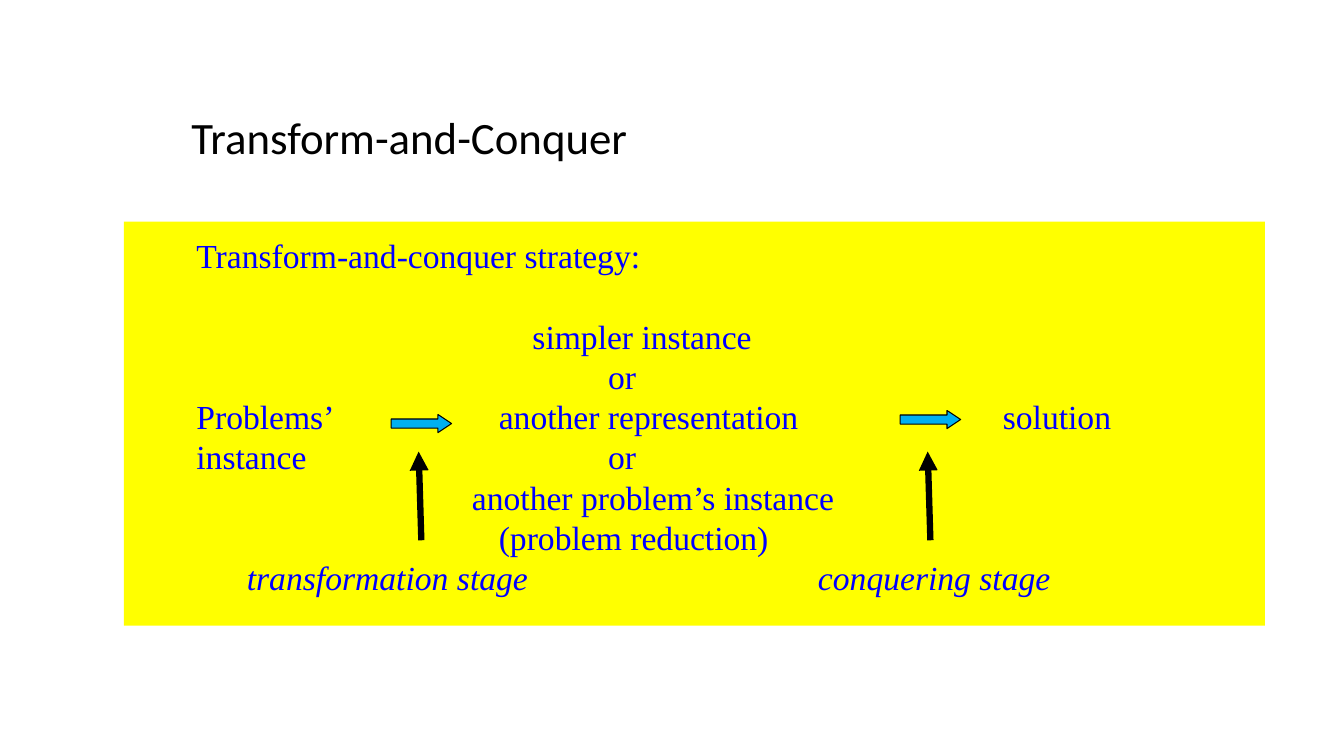
"""Build the Transform-and-Conquer strategy slide."""
from lxml import etree
from pptx import Presentation
from pptx.dml.color import RGBColor
from pptx.enum.shapes import MSO_CONNECTOR, MSO_SHAPE
from pptx.oxml.ns import qn
from pptx.util import Inches, Pt

RECT, RIGHT_ARROW = MSO_SHAPE.RECTANGLE, MSO_SHAPE.RIGHT_ARROW
STRAIGHT = MSO_CONNECTOR.STRAIGHT
WIDTH, HEIGHT = Inches(13.33), Inches(7.5)
COL, ROW = WIDTH / 40, Inches(0.4)
LINE_PITCH = Pt(28.8)
COLORS = {"panel": "FFFF00", "body": "0000FF", "step": "00B0F0", "ink": "000000"}

STRATEGY = [
    [(0, "Transform-and-conquer strategy:")],
    [(10, "simpler instance")],
    [(12.25, "or")],
    [(0, "Problems’"), (9, "another representation"), (24, "solution")],
    [(0, "instance"), (12.25, "or")],
    [(8.2, "another problem’s instance")],
    [(9, "(problem reduction)")],
    [(1.5, "transformation stage"), (18.5, "conquering stage")],
]
FIRST_STEP, STAGES = 1, len(STRATEGY) - 1


def color(name):
    """Return a named palette colour."""
    return RGBColor.from_string(COLORS[name])


def cell(col, row):
    """Convert grid columns and rows to slide lengths."""
    return round(col * COL), round(row * ROW)


def add_block(s, kind, at, size, fill):
    """Add a filled preset shape without an outline."""
    sp = s.shapes.add_shape(kind, *cell(*at), *cell(*size))
    sp.shadow.inherit = False
    sp.fill.solid()
    sp.fill.fore_color.rgb = color(fill)
    sp.line.fill.background()
    return sp


def add_step(s, at):
    """Add a block arrow leading to the next state."""
    sp = add_block(s, RIGHT_ARROW, at, (1.8, 0.45), "step")
    sp.adjustments[0], sp.adjustments[1] = 0.5, 0.75
    sp.line.color.rgb = color("ink")
    sp.line.width = Pt(0.75)


def add_pointer(s, start, end):
    """Add a heavy line with an arrowhead at its end."""
    line = s.shapes.add_connector(STRAIGHT, *cell(*start), *cell(*end))
    line.line.color.rgb = color("ink")
    line.line.width = Pt(4.5)
    etree.SubElement(line.line._get_or_add_ln(), qn("a:tailEnd"), type="triangle")
    etree.SubElement(line._element.spPr, qn("a:effectLst"))


def add_text(s, at, size, wrap):
    """Add an empty text box and return its text frame."""
    tf = s.shapes.add_textbox(*cell(*at), *cell(*size)).text_frame
    tf.word_wrap = wrap
    return tf


def style(p, font, size, name):
    """Format every run of a paragraph."""
    for r in p.runs:
        r.font.name, r.font.size = font, Pt(size)
        r.font.color.rgb = color(name)


def set_tabs(p, stops):
    """Give a paragraph left tab stops at grid columns."""
    tabs = etree.SubElement(p._p.get_or_add_pPr(), qn("a:tabLst"))
    for stop in stops:
        etree.SubElement(tabs, qn("a:tab"), pos=str(round(stop * COL)), algn="l")


def add_strategy(s):
    """Write the strategy lines, aligned by tab stops."""
    tf = add_text(s, (5.55, 5.7), (29.9, 11.7), True)
    for i, parts in enumerate(STRATEGY):
        p = tf.paragraphs[0] if i == 0 else tf.add_paragraph()
        p.text = "".join(("\t" if col else "") + text for col, text in parts)
        p.line_spacing = LINE_PITCH
        if i == FIRST_STEP:
            p.space_before = LINE_PITCH
        set_tabs(p, [col for col, _ in parts if col])
        style(p, "Times New Roman", 24, "body")
        if i == STAGES:
            p.runs[0].font.italic = True


def main():
    """Assemble and save the slide."""
    prs = Presentation()
    prs.slide_width, prs.slide_height = WIDTH, HEIGHT
    s = prs.slides.add_slide(prs.slide_layouts[6])
    add_block(s, RECT, (3.69, 5.5), (33.96, 10.02), "panel")
    add_strategy(s)
    add_step(s, (11.64, 10.28))
    add_step(s, (26.79, 10.18))
    for col in (12.54, 27.69):
        add_pointer(s, (col, 13.4), (col - 0.08, 11.2))
    title = add_text(s, (5.4, 2.6), (14.25, 1.6), False)
    title.text = "Transform-and-Conquer"
    style(title.paragraphs[0], "Calibri", 32, "ink")
    prs.save("out.pptx")


if __name__ == "__main__":
    main()
